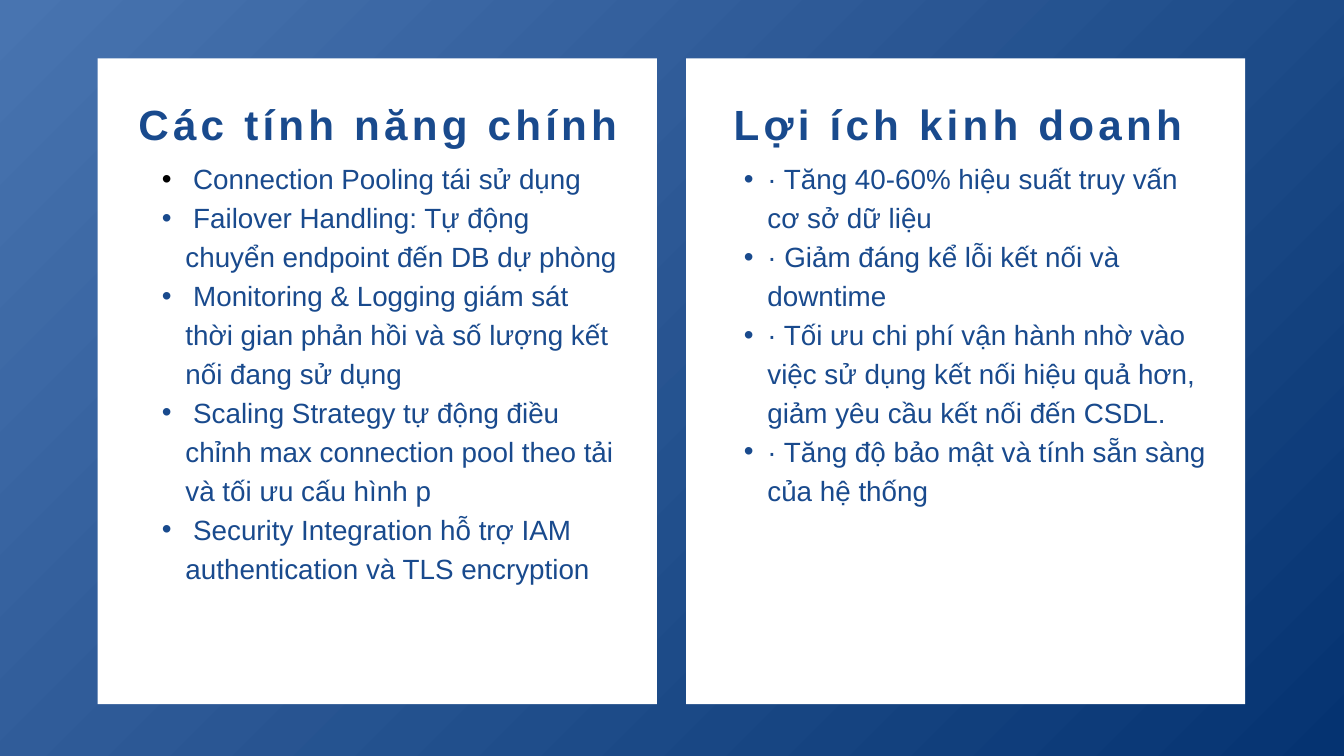
import pptx
import pptx.util
import pptx.dml.color
import pptx.enum.shapes
import pptx.enum.text
import pptx.oxml.ns
import lxml.etree

Inches, Pt = pptx.util.Inches, pptx.util.Pt
Align = pptx.enum.text.PP_ALIGN
qn = pptx.oxml.ns.qn

HUES = {"sky": "4874B0", "navy": "053371", "ink": "194A8D",
        "card": "FFFFFF", "dot": "000000"}

FEATURES = [
    " Connection Pooling tái sử dụng",
    " Failover Handling: Tự động chuyển endpoint đến DB dự phòng",
    " Monitoring & Logging giám sát thời gian phản hồi và số lượng kết nối đang sử dụng",
    " Scaling Strategy tự động điều chỉnh max connection pool theo tải và tối ưu cấu hình p",
    " Security Integration hỗ trợ IAM authentication và TLS encryption",
]
GAINS = [
    "· Tăng 40-60% hiệu suất truy vấn cơ sở dữ liệu",
    "· Giảm đáng kể lỗi kết nối và downtime",
    "· Tối ưu chi phí vận hành nhờ vào việc sử dụng kết nối hiệu quả hơn, giảm yêu cầu kết nối đến CSDL.",
    "· Tăng độ bảo mật và tính sẵn sàng của hệ thống",
]


class Deck:
    """Holds the style and the current slide; boxes are percentages of the slide."""

    def __init__(self, width, height):
        self.prs = pptx.Presentation()
        self.prs.slide_width = Inches(width)
        self.prs.slide_height = Inches(height)
        self.slide = self.prs.slides.add_slide(self.prs.slide_layouts[5])
        self.shapes = self.slide.shapes

    def hue(self, name):
        return pptx.dml.color.RGBColor.from_string(HUES[name])

    def place(self, box):
        wide, high = self.prs.slide_width, self.prs.slide_height
        return [int(part * size / 100)
                for part, size in zip(box, (wide, high, wide, high))]

    def backdrop(self, start, end):
        fill = self.slide.background.fill
        fill.gradient()
        fill.gradient_angle = 315
        for stop, name in zip(fill.gradient_stops, (start, end)):
            stop.color.rgb = self.hue(name)

    def card(self, box):
        kind = pptx.enum.shapes.MSO_SHAPE.RECTANGLE
        card = self.shapes.add_shape(kind, *self.place(box))
        card.shadow.inherit = False
        card.fill.solid()
        card.fill.fore_color.rgb = self.hue("card")
        card.line.fill.background()

    def frame(self, shape):
        frame = shape.text_frame
        frame.word_wrap = True
        frame.auto_size = pptx.enum.text.MSO_AUTO_SIZE.NONE
        frame.vertical_anchor = pptx.enum.text.MSO_ANCHOR.TOP
        frame.margin_left = frame.margin_right = 0
        frame.margin_top = frame.margin_bottom = 0
        return frame

    def style(self, para, size, pitch, bold=False):
        para.line_spacing = Pt(pitch)
        para.space_before = Pt(0)
        font = para.font
        font.name, font.size, font.bold = "Arial", Pt(size), bold
        font.color.rgb = self.hue("ink")

    def heading(self, text, box, title=False):
        if title:
            shape = self.shapes.title
            shape.left, shape.top, shape.width, shape.height = self.place(box)
            shape.element.getparent().append(shape.element)
        else:
            shape = self.shapes.add_textbox(*self.place(box))
        para = self.frame(shape).paragraphs[0]
        para.text = text
        para.alignment = Align.CENTER
        self.style(para, 45.2, 86.3, True)
        para._p.pPr.find(qn("a:defRPr")).set("spc", "450")

    def bullet(self, para, name):
        props = para._p.get_or_add_pPr()
        props.set("marL", str(Inches(0.7)))
        props.set("indent", str(Inches(-0.35)))
        tint = lxml.etree.SubElement(props, qn("a:buClr"))
        lxml.etree.SubElement(tint, qn("a:srgbClr"), val=HUES[name])
        lxml.etree.SubElement(props, qn("a:buFont"), typeface="Arial")
        lxml.etree.SubElement(props, qn("a:buChar"), char="•")

    def points(self, items, box, first="ink"):
        frame = self.frame(self.shapes.add_textbox(*self.place(box)))
        for rank, item in enumerate(items):
            para = frame.add_paragraph() if rank else frame.paragraphs[0]
            para.text = item
            self.bullet(para, "ink" if rank else first)
            self.style(para, 29.8, 41.7)


def main():
    deck = Deck(20, 11.25)
    deck.backdrop("sky", "navy")
    for left in (7.27, 51.05):
        deck.card((left, 7.73, 41.6, 85.4))
    deck.heading("Các tính năng chính", (9.65, 9.07, 36.95, 9.95), title=True)
    deck.heading("Lợi ích kinh doanh", (53.05, 9.07, 36.45, 9.95))
    deck.points(FEATURES, (10.3, 20.7, 35.6, 64.4), first="dot")
    deck.points(GAINS, (53.6, 20.7, 36.45, 45.9))
    deck.prs.save("out.pptx")


if __name__ == "__main__":
    main()
